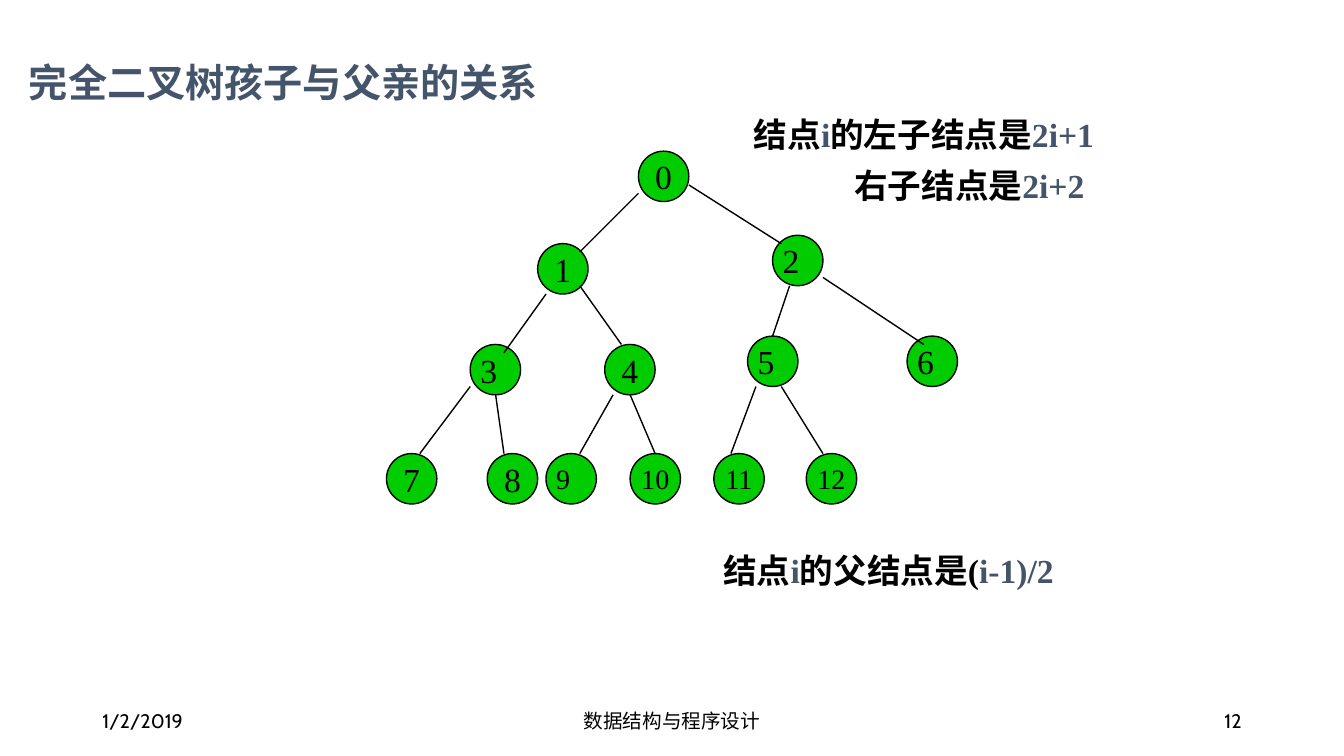
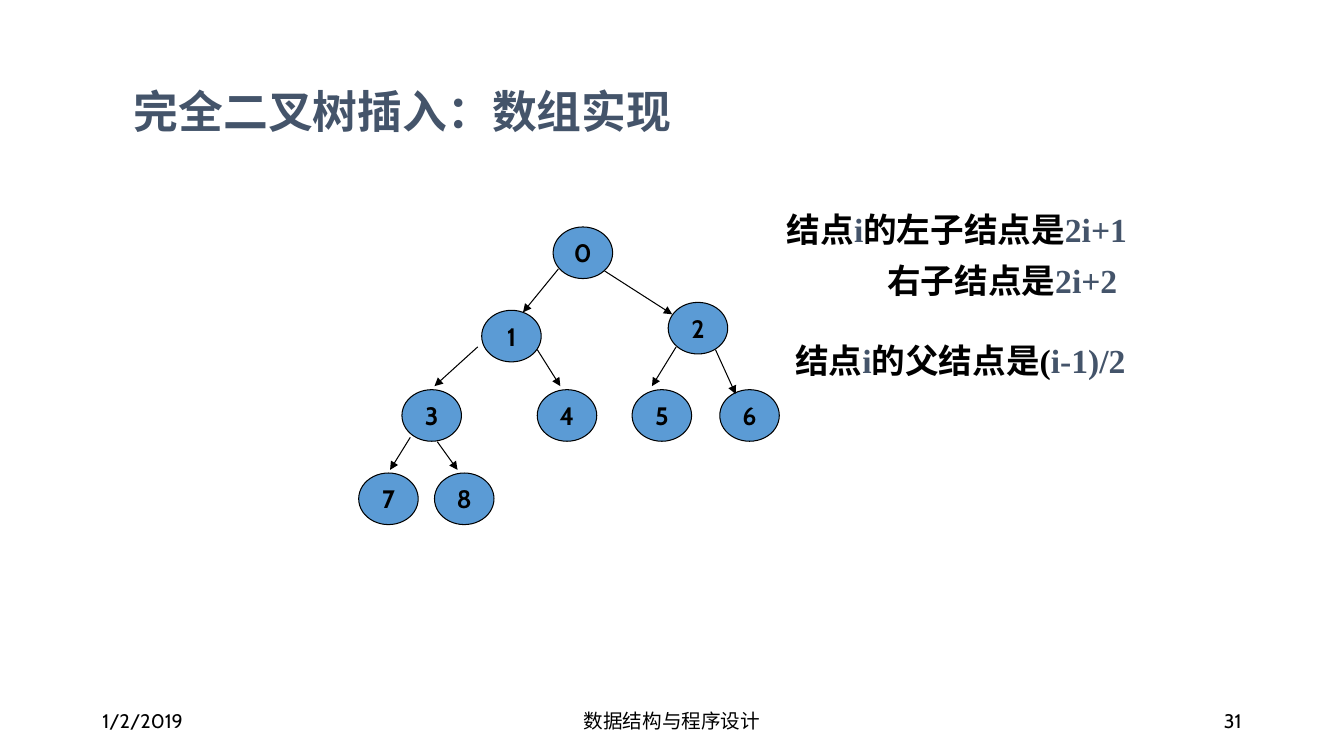
from dataclasses import dataclass

from lxml import etree
from pptx import Presentation, util as u
from pptx.dml.color import RGBColor
from pptx.enum import shapes, text
from pptx.oxml import ns


@dataclass(frozen=True)
class Theme:
    ink: str = "000000"
    accent: str = "44546A"
    green: str = "00CC00"
    blue: str = "5B9BD5"
    sans: str = "Cabin"
    serif: str = "Times New Roman"
    footer_size: int = 14
    rule_size: int = 24


THEME = Theme()
CENTER = text.PP_ALIGN.CENTER
LEFT = text.PP_ALIGN.LEFT
RIGHT = text.PP_ALIGN.RIGHT
MIDDLE = text.MSO_ANCHOR.MIDDLE

CHILD_RULE = [
    [("结点", THEME.ink), ("i", THEME.accent),
     ("的左子结点是", THEME.ink), ("2i+1", THEME.accent)],
    [("右子结点是", THEME.ink), ("2i+2", THEME.accent)],
]
PARENT_RULE = [
    [("结点", THEME.ink), ("i", THEME.accent),
     ("的父结点是(", THEME.ink), ("i-1)/2", THEME.accent)],
]


@dataclass(frozen=True)
class NodeStyle:
    width: float
    height: float
    fill: str
    line: float
    font: str
    bold: bool = False
    arrow: bool = False


GREEN_NODE = NodeStyle(1.27, 1.27, THEME.green, 1, THEME.serif)
BLUE_NODE = NodeStyle(1.5, 1.3, THEME.blue, 0.75, THEME.sans, bold=True, arrow=True)

# Corner of each node, listed in array order
RELATION_NODES = [
    (16.09, 3.81),
    (13.55, 6.14), (19.47, 5.93),
    (11.85, 8.68), (15.24, 8.68), (18.84, 8.47), (22.86, 8.47),
    (9.74, 11.43), (12.28, 11.43), (13.76, 11.43),
    (15.88, 11.43), (17.99, 11.43), (20.32, 11.43),
]
RELATION_LEFT_LABELS = {2, 3, 5, 6, 9}
# Start and end of the edge into each node from 1 on
RELATION_EDGES = [
    (16.09, 4.87, 14.61, 6.35), (17.36, 4.66, 19.69, 6.14),
    (13.76, 7.41, 12.7, 8.89), (14.61, 7.2, 15.66, 8.68),
    (19.9, 7.2, 19.47, 8.47), (20.74, 6.99, 23.28, 8.68),
    (11.85, 9.74, 10.58, 11.43), (12.49, 9.95, 12.7, 11.43),
    (15.45, 9.95, 14.61, 11.43), (15.88, 9.95, 16.51, 11.43),
    (19.05, 9.74, 18.42, 11.43), (19.69, 9.74, 20.74, 11.43),
]
INSERT_NODES = [
    (13.94, 5.72),
    (12.14, 7.82), (16.84, 7.62),
    (10.13, 9.82), (13.54, 9.82), (15.93, 9.82), (18.14, 9.82),
    (9.04, 11.92), (10.95, 11.92),
]
INSERT_EDGES = [
    (14.07, 6.78, 13.18, 7.87), (15.24, 6.83, 16.94, 7.92),
    (12.04, 8.74, 10.95, 9.73), (13.54, 8.81, 14.12, 9.73),
    (17.04, 8.74, 16.43, 9.73), (18.03, 8.81, 18.54, 9.93),
    (10.34, 11.02, 9.83, 11.84), (11.02, 11.13, 11.53, 11.84),
]


def assign(target, values):
    for name, value in values.items():
        setattr(target, name, value)


class Deck:
    def __init__(self):
        self.presentation = Presentation()
        assign(self.presentation, {"slide_width": u.Cm(33.87), "slide_height": u.Cm(19.05)})
        self.slide = None

    def add_slide(self, number):
        self.slide = self.presentation.slides.add_slide(self.presentation.slide_layouts[6])
        footers = [
            (2.33, 7.62, "1/2/2019", LEFT),
            (11.22, 11.43, "数据结构与程序设计", CENTER),
            (23.92, 7.62, str(number), RIGHT),
        ]
        for left, width, words, alignment in footers:
            frame = self.text_box(left, 17.66, width, 1.01)
            frame.vertical_anchor = MIDDLE
            paragraph = frame.paragraphs[0]
            paragraph.alignment = alignment
            self.run(paragraph, words, THEME.sans, THEME.footer_size)

    def text_box(self, left, top, width, height):
        box = self.slide.shapes.add_textbox(*map(u.Cm, (left, top, width, height)))
        box.text_frame.word_wrap = True
        return box.text_frame

    def run(self, paragraph, words, font, size, color=THEME.ink, bold=False):
        run = paragraph.add_run()
        run.text = words
        assign(run.font, {"name": font, "size": u.Pt(size), "bold": bold})
        run.font.color.rgb = RGBColor.from_string(color)

    def title(self, left, top, width, height, words, font, size):
        frame = self.text_box(left, top, width, height)
        self.run(frame.paragraphs[0], words, font, size, THEME.accent, True)

    def rule(self, left, top, width, height, lines):
        """Write a formula; lines after the first are indented."""
        frame = self.text_box(left, top, width, height)
        for index, line in enumerate(lines):
            paragraph = frame.add_paragraph() if index else frame.paragraphs[0]
            if index:
                paragraph.space_before = u.Pt(8)
                paragraph._p.get_or_add_pPr().set("marL", str(u.Cm(2.53)))
            for words, color in line:
                self.run(paragraph, words, THEME.serif, THEME.rule_size, color, True)

    def node(self, left, top, label, style, size, alignment=CENTER):
        shape = self.slide.shapes.add_shape(
            shapes.MSO_SHAPE.OVAL, *map(u.Cm, (left, top, style.width, style.height)))
        shape.shadow.inherit = False
        shape.fill.solid()
        shape.fill.fore_color.rgb = RGBColor.from_string(style.fill)
        shape.line.color.rgb = RGBColor.from_string(THEME.ink)
        shape.line.width = u.Pt(style.line)
        assign(shape.text_frame, {
            "margin_left": u.Cm(0.07 if alignment == LEFT else 0),
            "margin_right": 0, "margin_top": 0, "margin_bottom": 0,
            "vertical_anchor": MIDDLE, "word_wrap": True,
        })
        paragraph = shape.text_frame.paragraphs[0]
        paragraph.alignment = alignment
        self.run(paragraph, label, style.font, size, bold=style.bold)

    def edge(self, ends, style):
        connector = self.slide.shapes.add_connector(
            shapes.MSO_CONNECTOR.STRAIGHT, *map(u.Cm, ends))
        connector.line.color.rgb = RGBColor.from_string(THEME.ink)
        connector.line.width = u.Pt(style.line)
        if style.arrow:
            line = connector.line._get_or_add_ln()
            etree.SubElement(line, ns.qn("a:tailEnd"), type="triangle")
        etree.SubElement(connector._element.spPr, ns.qn("a:effectLst"))

    def tree(self, nodes, edges, style, label_size, left_labels=()):
        for index, (left, top) in enumerate(nodes):
            alignment = LEFT if index in left_labels else CENTER
            self.node(left, top, str(index), style, label_size(index), alignment)
        for ends in edges:
            self.edge(ends, style)


def relation_slide(deck):
    deck.add_slide(12)
    deck.title(0.48, 1.35, 16.41, 1.45, "完全二叉树孩子与父亲的关系", THEME.serif, 28)
    deck.tree(RELATION_NODES, RELATION_EDGES, GREEN_NODE,
              lambda index: 24 if index < 9 else 20, RELATION_LEFT_LABELS)
    deck.rule(18.75, 2.74, 10.06, 2.82, CHILD_RULE)
    deck.rule(17.98, 13.72, 9.86, 1.28, PARENT_RULE)


def insert_slide(deck):
    deck.add_slide(31)
    deck.title(3.12, 1.98, 29.51, 1.63, "完全二叉树插入：数组实现", THEME.sans, 32)
    deck.tree(INSERT_NODES, INSERT_EDGES, BLUE_NODE, lambda index: 18)
    deck.rule(19.58, 5.13, 10.06, 2.82, CHILD_RULE)
    deck.rule(19.79, 8.43, 9.86, 1.28, PARENT_RULE)


def main():
    deck = Deck()
    relation_slide(deck)
    insert_slide(deck)
    deck.presentation.save("out.pptx")


if __name__ == "__main__":
    main()
